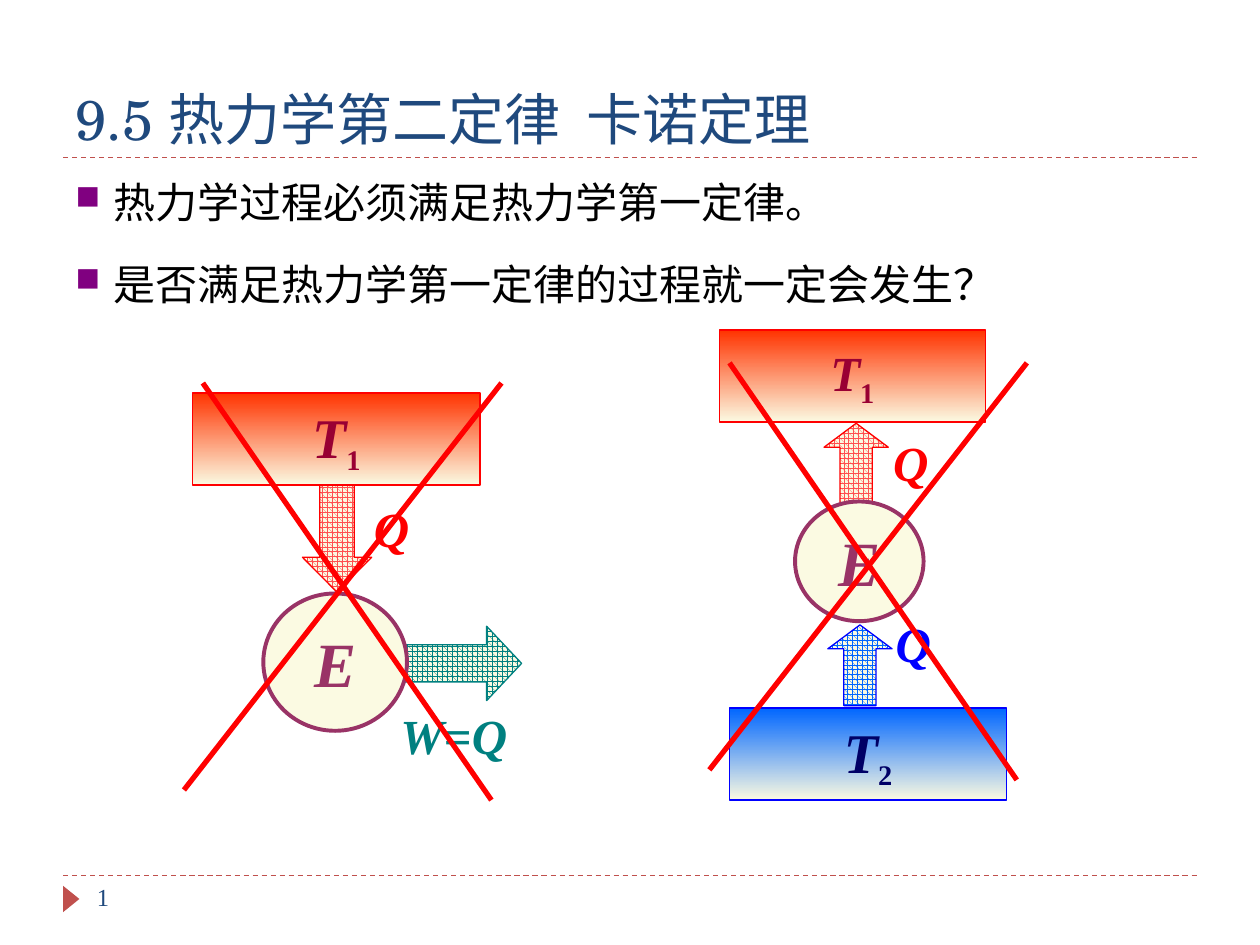
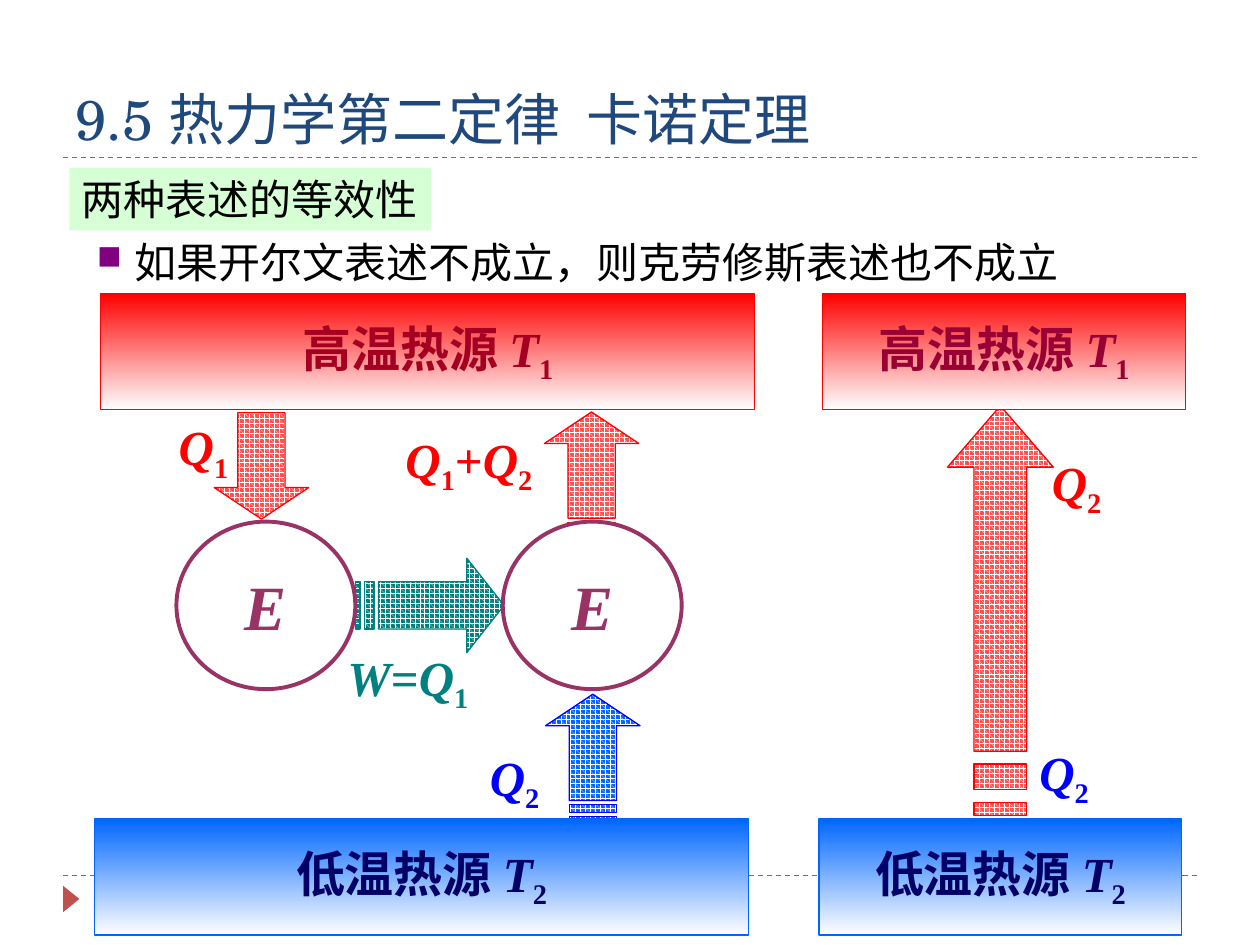
from itertools import groupby

from lxml import etree
from pptx import Presentation
from pptx.dml.color import RGBColor
from pptx.enum.dml import MSO_LINE, MSO_PATTERN
from pptx.enum.shapes import MSO_CONNECTOR, MSO_SHAPE
from pptx.enum.text import MSO_ANCHOR, PP_ALIGN
from pptx.oxml.ns import qn
from pptx.util import Inches, Pt

RECT, OVAL, TRIANGLE = MSO_SHAPE.RECTANGLE, MSO_SHAPE.OVAL, MSO_SHAPE.ISOSCELES_TRIANGLE
STRAIGHT, DASH, SPHERE = MSO_CONNECTOR.STRAIGHT, MSO_LINE.DASH, MSO_PATTERN.SPHERE
TOP, MIDDLE, BOTTOM = MSO_ANCHOR.TOP, MSO_ANCHOR.MIDDLE, MSO_ANCHOR.BOTTOM
LEFT, CENTER = PP_ALIGN.LEFT, PP_ALIGN.CENTER

COLORS = {
    "title": "1F497D", "rule": "C0504D", "black": "000000", "bullet": "800080",
    "mint": "CCFFCC", "cream": "FBFAE2", "white": "FFFFFF", "plum": "993366",
    "red": "FF0000", "coral": "FF5050", "orange": "FF3300", "wine": "990033",
    "crimson": "A50021", "blue": "0000FF", "azure": "0066FF", "navy": "000066",
    "teal": "008080",
}
HEADING_FONT, BODY_FONT = "TeX Gyre Schola", "Times New Roman"
TITLE = "9.5 热力学第二定律  卡诺定理"

# Content: boxes are (left, top, width, height) in inches
SLIDES = [
    {
        "number": "1",
        "bullets": [
            ("热力学过程必须满足热力学第一定律。", 0.5, 1.25, 6.89),
            ("是否满足热力学第一定律的过程就一定会发生？", 0.5, 1.9, 8),
        ],
        "light": "cream",
        "pattern_on_light": True,
        # direction, box, fill, outline, head share of the length
        "arrows": [
            ("down", (2.4, 3.59, 0.55, 1.11), "coral", "red", 0.25),
            ("right", (3.03, 4.97, 1.11, 0.59), "teal", "teal", 0.25),
            ("up", (6.54, 3.36, 0.51, 0.76), "coral", "red", 0.25),
            ("up", (6.57, 4.96, 0.51, 0.76), "azure", "blue", 0.25),
        ],
        # text, box, gradient start, outline, text colour, size
        "reservoirs": [
            ("T1", (1.53, 3.12, 2.28, 0.73), "orange", "red", "wine", 32),
            ("T1", (5.71, 2.62, 2.11, 0.73), "orange", "red", "wine", 28),
            ("T2", (5.79, 5.62, 2.2, 0.73), "azure", "blue", "navy", 32),
        ],
        "engines": [(2.09, 4.71, 1.14, 1.09), (6.31, 3.98, 1.02, 0.95)],
        "quantities": [
            ("W=Q", 3.08, 5.55, "teal"), ("Q", 2.87, 3.91, "red"),
            ("Q", 7.01, 4.82, "blue"), ("Q", 6.99, 3.38, "red"),
        ],
        "strikes": [
            (3.98, 3.04, 1.46, 6.27), (1.61, 3.04, 3.9, 6.35),
            (8.15, 2.88, 5.63, 6.11), (5.79, 2.88, 8.07, 6.19),
        ],
    },
    {
        "topic": "两种表述的等效性",
        "bullets": [("如果开尔文表述不成立，则克劳修斯表述也不成立", 0.67, 1.73, 8.03)],
        "light": "white",
        "pattern_on_light": False,
        "arrows": [
            ("up", (4.33, 5.51, 0.75, 1), "azure", "blue", 0.25),
            ("up", (4.32, 3.27, 0.75, 1), "coral", "red", 0.25),
            ("down", (1.7, 3.12, 0.75, 1), "coral", "red", 0.25),
            ("right", (2.82, 4.43, 1.18, 0.75), "teal", "teal", 0.25),
            ("up", (7.52, 3.22, 0.84, 3.25), "coral", "red", 0.15),
        ],
        "reservoirs": [
            ("高温热源 T1", (0.8, 2.33, 5.19, 0.92), "red", "red", "crimson", 28),
            ("低温热源 T2", (0.75, 6.5, 5.19, 0.92), "azure", "azure", "navy", 28),
            ("高温热源 T1", (6.53, 2.33, 2.88, 0.92), "red", "red", "wine", 28),
            ("低温热源 T2", (6.5, 6.5, 2.88, 0.92), "azure", "azure", "navy", 28),
        ],
        "engines": [(3.99, 4.14, 1.42, 1.33), (1.4, 4.14, 1.42, 1.33)],
        "quantities": [
            ("Q2", 3.79, 5.88, "blue"), ("Q1+Q2", 3.12, 3.36, "red"),
            ("W=Q1", 2.66, 5.09, "teal"), ("Q1", 1.32, 3.26, "red"),
            ("Q2", 8.15, 5.84, "blue"), ("Q2", 8.25, 3.54, "red"),
        ],
        "strikes": [],
    },
]


def rgb(name):
    return RGBColor.from_string(COLORS[name])


def inches(values):
    return [Inches(v) for v in values]


def style_font(font, size, color, name=BODY_FONT):
    font.size, font.name = Pt(size), name
    font.color.rgb = rgb(color)


def frame_setup(shape, anchor=TOP, wrap=True):
    frame = shape.text_frame
    frame.vertical_anchor, frame.word_wrap = anchor, wrap
    return frame


def write(shape, text, size, color, name=BODY_FONT, anchor=TOP, wrap=True):
    frame = frame_setup(shape, anchor, wrap)
    frame.text = text
    frame.paragraphs[0].alignment = LEFT
    style_font(frame.paragraphs[0].runs[0].font, size, color, name)


def symbol_kind(char):
    if char.isdigit():
        return "subscript"
    return "variable" if char.isascii() and char.isalpha() else "plain"


def write_formula(shape, text, size, color, align=CENTER, anchor=MIDDLE, wrap=False):
    """Bold text with italic variables and lowered digits."""
    paragraph = frame_setup(shape, anchor, wrap).paragraphs[0]
    paragraph.alignment = align
    for kind, chars in groupby(text, symbol_kind):
        run = paragraph.add_run()
        run.text = "".join(chars)
        style_font(run.font, 28 if kind == "subscript" else size, color)
        run.font.bold, run.font.italic = True, kind == "variable"
        if kind == "subscript":
            run.font._element.set("baseline", "-25000")


def add_text_box(slide, box):
    return slide.shapes.add_textbox(*inches(box))


def add_line(slide, ends, color, width, dash=None):
    line = slide.shapes.add_connector(STRAIGHT, *inches(ends))
    line.line.color.rgb, line.line.width = rgb(color), Pt(width)
    if dash:
        line.line.dash_style = dash
    etree.SubElement(line._element.spPr, qn("a:effectLst"))


def add_solid(slide, kind, box, fill, outline=None, width=0.75):
    shape = slide.shapes.add_shape(kind, *inches(box))
    shape.shadow.inherit = False
    shape.fill.solid()
    shape.fill.fore_color.rgb = rgb(fill)
    if outline:
        shape.line.color.rgb, shape.line.width = rgb(outline), Pt(width)
    else:
        shape.line.fill.background()
    return shape


def add_frame(slide, number):
    """Title, rules and footer shared by the slides."""
    for y in (6.95, 1.25):
        add_line(slide, (0.5, y, 9.5, y), "rule", 0.75, DASH)
    add_solid(slide, TRIANGLE, (0.46, 7.07, 0.21, 0.13), "rule").rotation = 90
    write(add_text_box(slide, (0.5, 0.25, 9, 1)), TITLE, 32, "title", HEADING_FONT, BOTTOM)
    if number:
        write(add_text_box(slide, (0.67, 6.95, 2.17, 0.4)), number, 14, "title")


def add_topic(slide, text):
    topic = add_solid(slide, RECT, (0.55, 1.33, 2.87, 0.5), "mint")
    color = topic._element.spPr.find(qn("a:solidFill"))[0]
    etree.SubElement(color, qn("a:alpha"), val="80000")
    write(topic, text, 24, "black", anchor=MIDDLE, wrap=False)


def add_bullet(slide, text, left, top, width):
    box = add_text_box(slide, (left, top, width, 0.6))
    write(box, text, 24, "black")
    paragraph = box.text_frame.paragraphs[0]
    paragraph.line_spacing = 1.25
    props = paragraph._p.get_or_add_pPr()
    props.set("marL", str(Inches(0.3)))
    props.set("indent", str(-Inches(0.3)))
    color = etree.SubElement(props, qn("a:buClr"))
    etree.SubElement(color, qn("a:srgbClr"), val=COLORS["bullet"])
    etree.SubElement(props, qn("a:buSzPct"), val="80000")
    etree.SubElement(props, qn("a:buChar"), char="■")


def add_striped_arrow(slide, direction, box, color, outline, head, light, on_light):
    left, top, width, height = box

    def place(along, across):
        if direction == "right":
            x, y = along, across
        else:
            x, y = across, along if direction == "down" else 1 - along
        return Inches(left + x * width), Inches(top + y * height)

    # Outlines as shares of length and breadth, from tail to tip
    neck = 1 - head
    outlines = [[(neck, 0), (neck, 0.25), (5 / 32, 0.25), (5 / 32, 0.75),
                 (neck, 0.75), (neck, 1), (1, 0.5)]]
    for start, end in ((1 / 16, 1 / 8), (0, 1 / 32)):
        outlines.append([(start, 0.25), (start, 0.75), (end, 0.75), (end, 0.25)])

    builder = slide.shapes.build_freeform(*place(*outlines[0][0]))
    for index, points in enumerate(outlines):
        corners = [place(*point) for point in points]
        if index:
            builder.move_to(*corners[0])
        builder.add_line_segments(corners[1:], close=True)
    arrow = builder.convert_to_shape()
    arrow.shadow.inherit = False
    arrow.fill.patterned()
    arrow.fill.pattern = SPHERE
    fore, back = (color, light) if on_light else (light, color)
    arrow.fill.fore_color.rgb, arrow.fill.back_color.rgb = rgb(fore), rgb(back)
    arrow.line.color.rgb, arrow.line.width = rgb(outline), Pt(0.75)


def add_reservoir(slide, text, box, start, outline, color, size, light):
    reservoir = add_solid(slide, RECT, box, start, outline)
    reservoir.fill.gradient()
    reservoir.fill.gradient_angle = 270
    for stop, name, position in zip(reservoir.fill.gradient_stops, (start, light), (0, 1)):
        stop.color.rgb, stop.position = rgb(name), position
    write_formula(reservoir, text, size, color)


def add_engine(slide, box, light):
    write_formula(add_solid(slide, OVAL, box, light, "plum", 2.25), "E", 36, "plum")


def add_quantity(slide, text, left, top, color):
    width = 0.66 if len(text) <= 2 else 1.33
    box = add_text_box(slide, (left, top, width, 0.57))
    write_formula(box, text, 28, color, LEFT, TOP, True)


def build_slide(prs, content):
    slide = prs.slides.add_slide(prs.slide_layouts[6])
    light = content["light"]
    add_frame(slide, content.get("number"))
    if "topic" in content:
        add_topic(slide, content["topic"])
    for bullet in content["bullets"]:
        add_bullet(slide, *bullet)
    # Arrows come first, so that their tails pass behind the bodies
    for arrow in content["arrows"]:
        add_striped_arrow(slide, *arrow, light, content["pattern_on_light"])
    for reservoir in content["reservoirs"]:
        add_reservoir(slide, *reservoir, light)
    for box in content["engines"]:
        add_engine(slide, box, light)
    for quantity in content["quantities"]:
        add_quantity(slide, *quantity)
    for ends in content["strikes"]:
        add_line(slide, ends, "red", 3)


def main():
    prs = Presentation()
    prs.slide_width, prs.slide_height = Inches(10), Inches(7.5)
    for content in SLIDES:
        build_slide(prs, content)
    prs.save("out.pptx")


if __name__ == "__main__":
    main()
